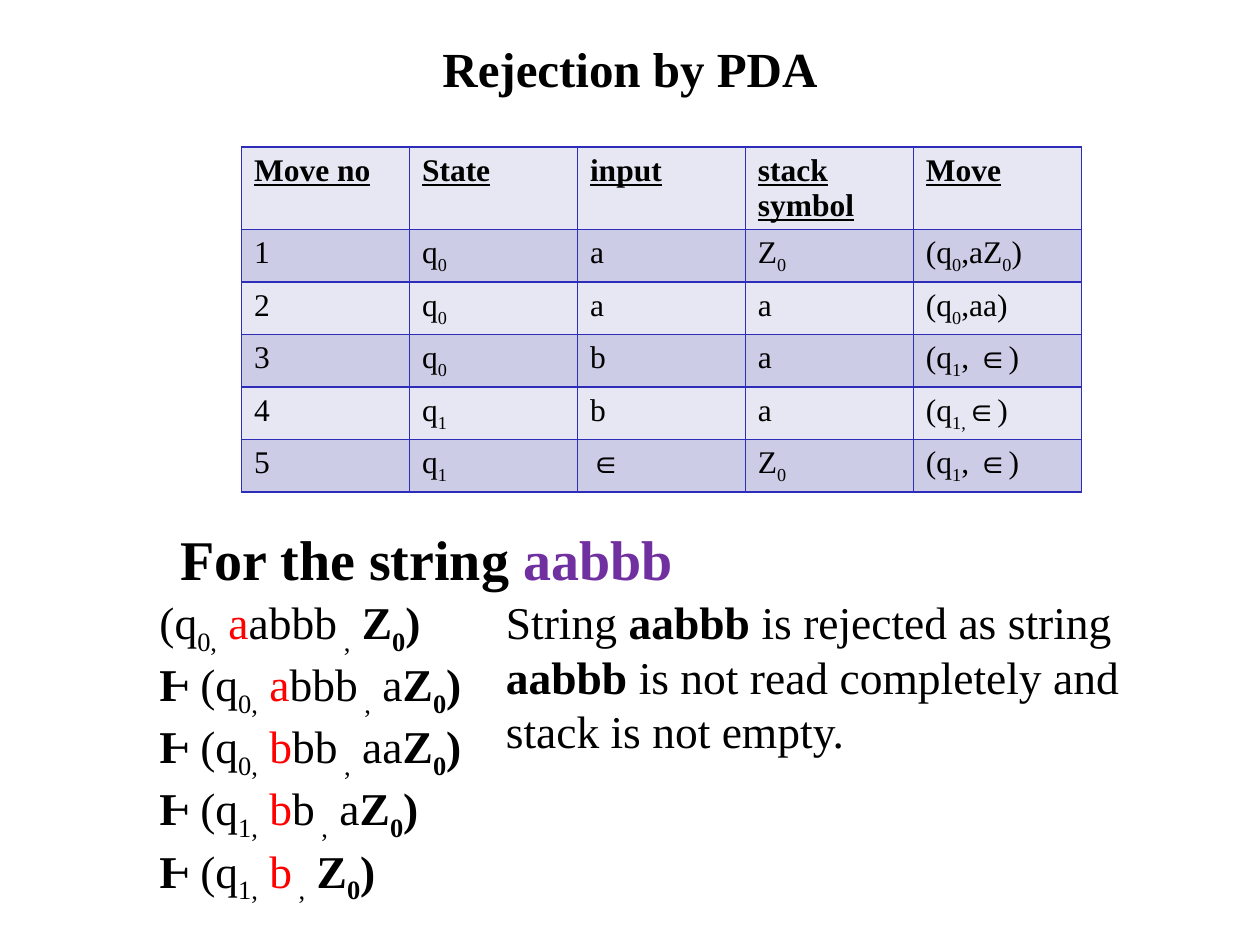
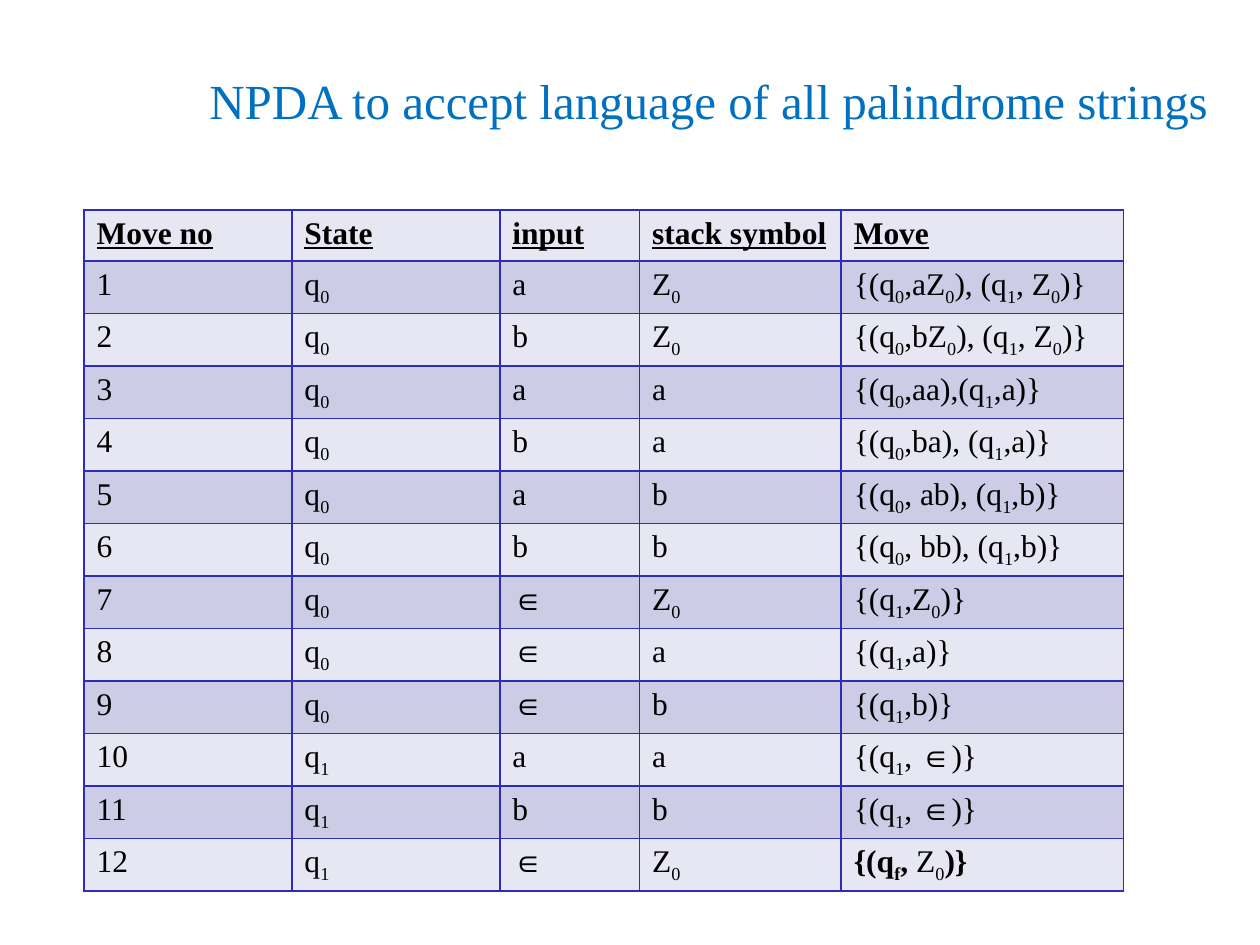
from itertools import groupby

from lxml.etree import SubElement
from pptx import Presentation
from pptx.dml.color import RGBColor
from pptx.enum.text import MSO_ANCHOR as Anchor, MSO_AUTO_SIZE as AutoSize, PP_ALIGN as Align
from pptx.oxml.ns import qn
from pptx.util import Inches, Pt

# Content. Marks switch a format on and off: _subscript_, *bold*, ^accent^
# Boxes are left, top, width, height on a grid of twelfths of an inch
HEADINGS = ("Move no", "State", "input", "stack symbol", "Move")

REJECTION = {
    "title": "*Rejection by PDA*",
    "title_box": (2, 2, 116, 9),
    "title_colour": "text",
    "table_box": (23, 14, 80, 29.2),
    "column_shares": (1, 1, 1, 1, 1),
    "moves": [
        ("q_0_", "a", "Z_0_", "(q_0_,aZ_0_)"),
        ("q_0_", "a", "a", "(q_0_,aa)"),
        ("q_0_", "b", "a", "(q_1_, ∈)"),
        ("q_1_", "b", "a", "(q_1,_∈)"),
        ("q_1_", "∈", "Z_0_", "(q_1_, *∈*)"),
    ],
    # box, text size, accent colour, paragraphs
    "notes": [
        ((16, 49.4, 98, 7.7), 32, "purple", ["*For the string ^aabbb^*"]),
        ((14, 56, 33, 27.5), 26, "red", [
            "(q_0,_ ^a^abbb_ ,_ *Z_0_)*",
            "*Ⱶ *(q_0,_ ^a^bbb_ ,_ a*Z_0_)*",
            "*Ⱶ *(q_0,_ ^b^bb_ ,_ aa*Z_0_)*",
            "*Ⱶ *(q_1,_ ^b^b_ ,_ a*Z_0_)*",
            "*Ⱶ *(q_1,_ ^b^_ ,_ *Z_0_)*",
        ]),
        ((47, 56, 67, 16.9), 26, "red", [
            "String *aabbb* is rejected as string *aabbb* "
            "is not read completely and stack is not empty.",
        ]),
    ],
}

PALINDROMES = {
    "title": "NPDA to accept language of all palindrome strings",
    "title_box": (17, 2, 101, 15),
    "title_colour": "blue",
    "table_box": (8, 20, 99, 63.2),
    "column_shares": (1.65, 1.65, 1.11, 1.6, 2.24),
    "moves": [
        ("q_0_", "a", "Z_0_", "{(q_0_,aZ_0_), (q_1_, Z_0_)}"),
        ("q_0_", "b", "Z_0_", "{(q_0_,bZ_0_), (q_1_, Z_0_)}"),
        ("q_0_", "a", "a", "{(q_0_,aa),(q_1_,a)}"),
        ("q_0_", "b", "a", "{(q_0_,ba), (q_1_,a)}"),
        ("q_0_", "a", "b", "{(q_0_, ab), (q_1_,b)}"),
        ("q_0_", "b", "b", "{(q_0_, bb), (q_1_,b)}"),
        ("q_0_", "∈", "Z_0_", "{(q_1_,Z_0_)}"),
        ("q_0_", "∈", "a", "{(q_1_,a)}"),
        ("q_0_", "∈", "b", "{(q_1_,b)}"),
        ("q_1_", "a", "a", "{(q_1_, ∈)}"),
        ("q_1_", "b", "b", "{(q_1_, ∈)}"),
        ("q_1_", "∈", "Z_0_", "*{(q_f_,* Z_0_*)}*"),
    ],
    "notes": [],
}

# Shared look
COLOURS = {
    "text": "000000", "blue": "0070C0", "purple": "7030A0", "red": "FF0000",
    "border": "2D2DB9", "light": "E7E7F3", "dark": "CCCCE6",
}
FONT = "Times New Roman"
TITLE_SIZE, TABLE_SIZE = 28, 18
TITLE_ONLY = 5
GRID_STEPS_PER_INCH = 12


def place(box):
    return [Inches(steps / GRID_STEPS_PER_INCH) for steps in box]


def split_marks(text):
    """Yield (piece, marks that are on) for marked text."""
    active, letters = frozenset(), []
    for letter in text:
        if letter in "_*^":
            active = active ^ {letter}
        else:
            letters.append((letter, active))
    for marks, group in groupby(letters, key=lambda pair: pair[1]):
        yield "".join(letter for letter, _ in group), marks


def write(paragraph, text, size, colour="text", accent="red", underline=False):
    for piece, marks in split_marks(text):
        run = paragraph.add_run()
        run.text = piece
        formats = {"name": FONT, "size": Pt(size), "bold": "*" in marks, "underline": underline}
        for name, value in formats.items():
            setattr(run.font, name, value)
        shown = accent if "^" in marks else colour
        run.font.color.rgb = RGBColor.from_string(COLOURS[shown])
        if "_" in marks:
            run._r.get_or_add_rPr().set("baseline", "-25000")


def add_title(slide, content):
    title = slide.shapes.title
    for name, value in zip(("left", "top", "width", "height"), place(content["title_box"])):
        setattr(title, name, value)
    frame = title.text_frame
    frame.vertical_anchor, frame.auto_size = Anchor.MIDDLE, AutoSize.NONE
    paragraph = frame.paragraphs[0]
    paragraph.alignment = Align.CENTER
    write(paragraph, content["title"], TITLE_SIZE, content["title_colour"])


def style_cell(cell, fill):
    properties = cell._tc.get_or_add_tcPr()
    for side in ("a:lnL", "a:lnR", "a:lnT", "a:lnB"):
        line = SubElement(properties, qn(side), w=str(Pt(1)))
        solid = SubElement(line, qn("a:solidFill"))
        SubElement(solid, qn("a:srgbClr"), val=COLOURS["border"])
    cell.fill.solid()
    cell.fill.fore_color.rgb = RGBColor.from_string(COLOURS[fill])


def add_moves_table(slide, content):
    rows = [[f"*{heading}*" for heading in HEADINGS]]
    rows += [(str(number), *move) for number, move in enumerate(content["moves"], 1)]
    left, top, width, height = place(content["table_box"])
    table = slide.shapes.add_table(len(rows), len(HEADINGS), left, top, width, height).table
    table.first_row = table.horz_banding = False

    shares = content["column_shares"]
    for column, share in zip(table.columns, shares):
        column.width = int(width * share / sum(shares))
    for row_index, row in enumerate(rows):
        table.rows[row_index].height = height // len(rows)
        for column_index, text in enumerate(row):
            cell = table.cell(row_index, column_index)
            style_cell(cell, "dark" if row_index % 2 else "light")
            write(cell.text_frame.paragraphs[0], text, TABLE_SIZE, underline=row_index == 0)


def add_note(slide, box, size, accent, lines):
    frame = slide.shapes.add_textbox(*place(box)).text_frame
    frame.word_wrap = True
    for index, line in enumerate(lines):
        paragraph = frame.add_paragraph() if index else frame.paragraphs[0]
        write(paragraph, line, size, accent=accent)


def main():
    presentation = Presentation()
    presentation.slide_width, presentation.slide_height = Inches(10), Inches(7.5)
    for content in (REJECTION, PALINDROMES):
        slide = presentation.slides.add_slide(presentation.slide_layouts[TITLE_ONLY])
        add_title(slide, content)
        add_moves_table(slide, content)
        for note in content["notes"]:
            add_note(slide, *note)
    presentation.save("out.pptx")


if __name__ == "__main__":
    main()
